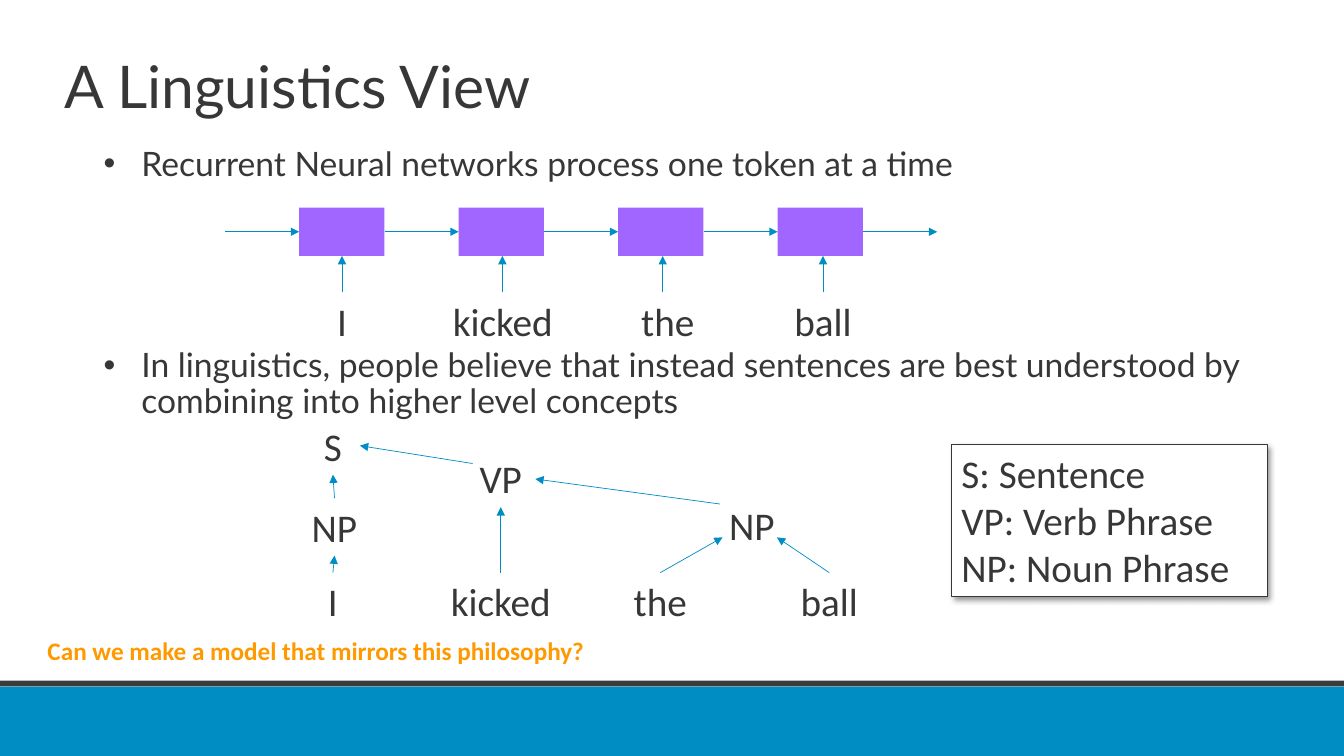
from dataclasses import dataclass

from lxml import etree
from pptx import Presentation
from pptx.dml.color import RGBColor
from pptx.enum.shapes import MSO_CONNECTOR, MSO_SHAPE
from pptx.enum.text import MSO_ANCHOR, MSO_AUTO_SIZE, PP_ALIGN
from pptx.oxml.ns import qn
from pptx.shapes.autoshape import Shape
from pptx.slide import Slide
from pptx.text.text import TextFrame
from pptx.util import Cm, Pt

RECTANGLE = MSO_SHAPE.RECTANGLE
STRAIGHT = MSO_CONNECTOR.STRAIGHT
TOP = MSO_ANCHOR.TOP
NO_AUTOFIT = MSO_AUTO_SIZE.NONE
LEFT, CENTER = PP_ALIGN.LEFT, PP_ALIGN.CENTER


@dataclass(frozen=True)
class Theme:
    text: str = "373737"
    blue: str = "008DC4"
    rule: str = "383D3B"
    purple: str = "A166FF"
    orange: str = "FF9900"
    white: str = "FFFFFF"
    heading_font: str = "Lato"
    label_font: str = "Calibri"
    title_size: int = 42
    body_size: int = 24
    label_size: int = 28
    question_size: int = 18
    line_width: float = 0.5


@dataclass(frozen=True)
class Frame:
    """Position and size in centimetres."""
    left: float
    top: float
    width: float
    height: float

    def lengths(self) -> tuple[Cm, Cm, Cm, Cm]:
        return Cm(self.left), Cm(self.top), Cm(self.width), Cm(self.height)


@dataclass(frozen=True)
class Label:
    text: str
    center: float
    top: float
    width: float


@dataclass(frozen=True)
class Arrow:
    start: tuple[float, float]
    end: tuple[float, float]


THEME = Theme()
LABEL_HEIGHT = 1.45

CELL_COUNT = 4
CELL = Frame(7.54, 5.23, 2.15, 1.22)
CELL_STEP = 4.02
CELL_MIDDLE = CELL.top + CELL.height / 2
CELL_GAP = CELL_STEP - CELL.width
INPUT_LEFT, INPUT_STEP = 8.62, 4.04
TOKEN_TOP = 7.37
LEAF_TOP = 14.43

LABELS = [
    Label("I", 8.62, TOKEN_TOP, 1.6),
    Label("kicked", 12.67, TOKEN_TOP, 3.35),
    Label("the", 16.83, TOKEN_TOP, 3.12),
    Label("ball", 20.74, TOKEN_TOP, 3.28),
    Label("I", 8.39, LEAF_TOP, 1.35),
    Label("kicked", 12.62, LEAF_TOP, 3.28),
    Label("the", 16.64, LEAF_TOP, 2.59),
    Label("ball", 20.9, LEAF_TOP, 2.08),
    Label("NP", 18.95, 12.5, 1.83),
    Label("NP", 8.43, 12.55, 1.88),
    Label("VP", 12.62, 11.33, 1.73),
    Label("S", 8.39, 10.52, 1.35),
]

TREE_ARROWS = [
    Arrow((8.43, 12.55), (8.39, 11.96)),
    Arrow((11.91, 11.68), (9.07, 11.23)),
    Arrow((18.14, 12.7), (13.49, 12.07)),
    Arrow((8.39, LEAF_TOP), (8.43, 14)),
    Arrow((12.62, LEAF_TOP), (12.62, 12.78)),
    Arrow((16.64, LEAF_TOP), (18.21, 13.54)),
    Arrow((20.9, LEAF_TOP), (19.58, 13.54)),
]


def write(frame: TextFrame, text: str, font: str, size: float, color: str,
          align: PP_ALIGN = LEFT, bold: bool = False) -> None:
    frame.text = text
    frame.vertical_anchor = TOP
    frame.auto_size = NO_AUTOFIT
    for para in frame.paragraphs:
        para.alignment = align
        para.space_before = Pt(0)
        for span in para.runs:
            span.font.name = font
            span.font.size = Pt(size)
            span.font.bold = bold
            span.font.color.rgb = RGBColor.from_string(color)


def add_box(page: Slide, frame: Frame, fill: str) -> Shape:
    box = page.shapes.add_shape(RECTANGLE, *frame.lengths())
    box.shadow.inherit = False
    box.fill.solid()
    box.fill.fore_color.rgb = RGBColor.from_string(fill)
    box.line.fill.background()
    return box


def add_label(page: Slide, label: Label) -> None:
    frame = Frame(label.center - label.width / 2, label.top, label.width, LABEL_HEIGHT)
    box = page.shapes.add_textbox(*frame.lengths())
    box.text_frame.word_wrap = True
    write(box.text_frame, label.text, THEME.label_font, THEME.label_size, THEME.text, CENTER)


def add_arrow(page: Slide, arrow: Arrow) -> None:
    points = [Cm(value) for value in (*arrow.start, *arrow.end)]
    line = page.shapes.add_connector(STRAIGHT, *points)
    line.line.color.rgb = RGBColor.from_string(THEME.blue)
    line.line.width = Pt(THEME.line_width)
    properties = line._element.spPr
    etree.SubElement(properties.find(qn("a:ln")), qn("a:tailEnd"), type="triangle")
    etree.SubElement(properties, qn("a:effectLst"))


def fill_placeholders(page: Slide) -> None:
    title, body = page.placeholders
    title.left, title.top, title.width, title.height = Frame(1.37, 1.32, 29.21, 2.77).lengths()
    write(title.text_frame, "A Linguistics View",
          THEME.heading_font, THEME.title_size, THEME.text)
    title.text_frame.paragraphs[0].line_spacing = 0.9

    body.left, body.top, body.width, body.height = Frame(2.36, 3.58, 30.12, 13.54).lengths()
    write(body.text_frame,
          "Recurrent Neural networks process one token at a time\n"
          "In linguistics, people believe that instead sentences are best understood by "
          "combining into higher level concepts",
          THEME.heading_font, THEME.body_size, THEME.text)
    for para, gap in zip(body.text_frame.paragraphs, (0, 118)):
        para.line_spacing = 0.9
        para.space_before = Pt(gap)
        properties = para._p.get_or_add_pPr()
        properties.set("marL", str(Cm(0.95)))
        properties.set("indent", str(-Cm(0.95)))
        etree.SubElement(properties, qn("a:buFont"), typeface="Arial")
        etree.SubElement(properties, qn("a:buChar"), char="•")


def add_network(page: Slide) -> None:
    for index in range(CELL_COUNT):
        left = CELL.left + index * CELL_STEP
        add_box(page, Frame(left, CELL.top, CELL.width, CELL.height), THEME.purple)
        center = INPUT_LEFT + index * INPUT_STEP
        add_arrow(page, Arrow((center, TOKEN_TOP), (center, CELL.top + CELL.height)))
    for index in range(CELL_COUNT + 1):
        end = CELL.left + index * CELL_STEP
        add_arrow(page, Arrow((end - CELL_GAP, CELL_MIDDLE), (end, CELL_MIDDLE)))


def add_legend(page: Slide) -> None:
    box = add_box(page, Frame(23.98, 11.2, 7.95, 3.84), THEME.white)
    box.line.color.rgb = RGBColor.from_string(THEME.text)
    box.line.width = Pt(THEME.line_width)
    write(box.text_frame, "S: Sentence\nVP: Verb Phrase\nNP: Noun Phrase",
          THEME.label_font, THEME.label_size, THEME.text)
    effects = box._element.spPr.find(qn("a:effectLst"))
    shadow = etree.SubElement(effects, qn("a:outerShdw"), blurRad=str(Pt(4)),
                              dist=str(Pt(3)), dir="2700000", algn="tl", rotWithShape="0")
    color = etree.SubElement(shadow, qn("a:srgbClr"), val="000000")
    etree.SubElement(color, qn("a:alpha"), val="40000")


def main() -> None:
    deck = Presentation()
    deck.slide_width, deck.slide_height = Cm(33.87), Cm(19.05)
    page = deck.slides.add_slide(deck.slide_layouts[1])
    add_box(page, Frame(0, 17.3, 33.87, 1.75), THEME.blue)
    add_box(page, Frame(0, 17.15, 33.87, 0.15), THEME.rule)
    fill_placeholders(page)
    add_network(page)
    for label in LABELS:
        add_label(page, label)
    for arrow in TREE_ARROWS:
        add_arrow(page, arrow)
    add_legend(page)
    question = page.shapes.add_textbox(*Frame(0.89, 15.88, 14.15, 1.02).lengths())
    write(question.text_frame, "Can we make a model that mirrors this philosophy?",
          THEME.label_font, THEME.question_size, THEME.orange, CENTER, bold=True)
    deck.save("out.pptx")


if __name__ == "__main__":
    main()
